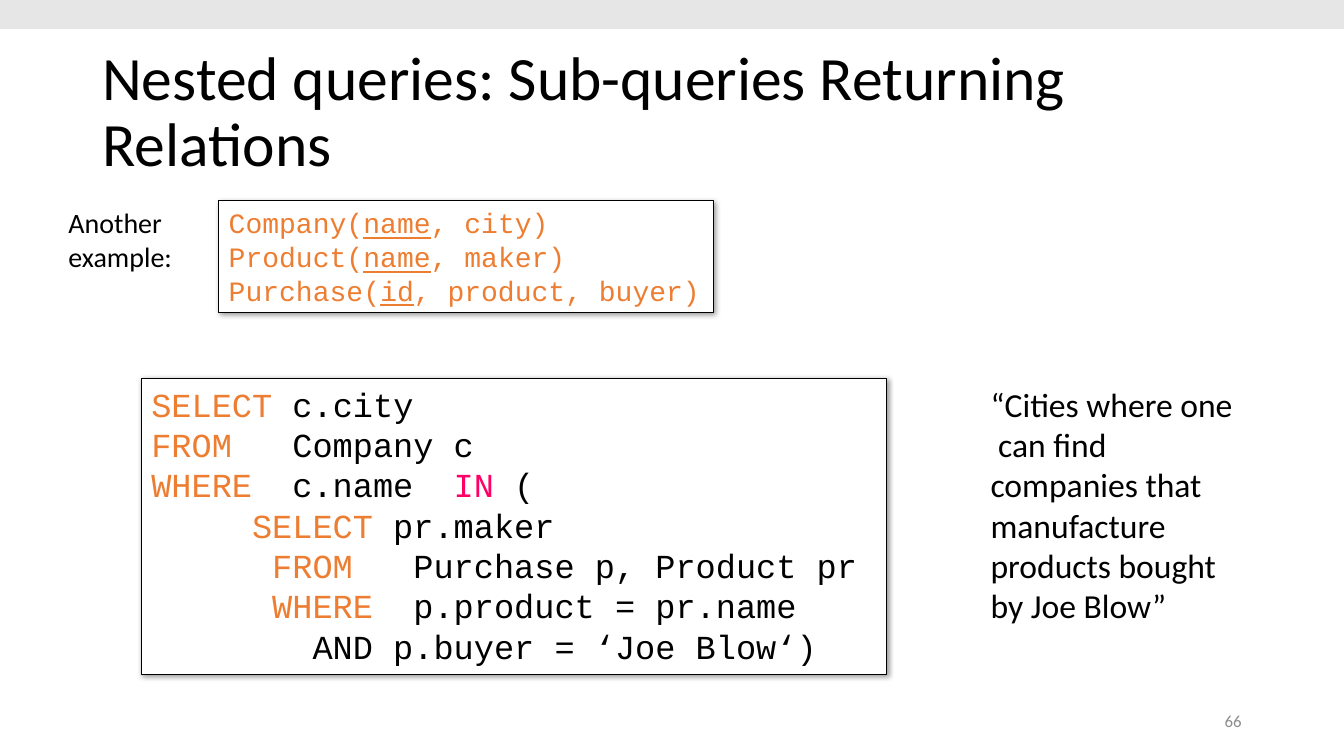
from lxml.etree import SubElement
from pptx import Presentation
from pptx.dml.color import RGBColor
from pptx.enum.shapes import MSO_SHAPE as Shape
from pptx.enum.text import MSO_ANCHOR as Anchor, PP_ALIGN as Align
from pptx.oxml.ns import qn
from pptx.util import Pt

BLACK = RGBColor(0x00, 0x00, 0x00)
WHITE = RGBColor(0xFF, 0xFF, 0xFF)
ORANGE = RGBColor(0xED, 0x7D, 0x31)
PINK = RGBColor(0xFF, 0x00, 0x66)
GRAY = RGBColor(0x8C, 0x8C, 0x8C)
BAND = RGBColor(0xE7, 0xE6, 0xE6)

SANS, MONO = "Calibri", "Courier New"
CODE_SIZE = 24
CHAR_WIDTH = CODE_SIZE * 0.6

SCHEMA = [
    ("Company(", "name", ", city)"),
    ("Product(", "name", ", maker)"),
    ("Purchase(", "id", ", product, buyer)"),
]
QUERY = [
    ([], [("SELECT ", ORANGE), ("c.city", BLACK)]),
    ([7], [("FROM", ORANGE), ("\tCompany c", BLACK)]),
    ([7, 15], [("WHERE", ORANGE), ("\tc.name", BLACK), ("\tIN", PINK), (" (", BLACK)]),
    ([5], [("\tSELECT ", ORANGE), ("pr.maker", BLACK)]),
    ([6, 13], [("\tFROM", ORANGE), ("\tPurchase p, Product pr", BLACK)]),
    ([6, 13], [("\tWHERE", ORANGE), ("\tp.product = pr.name", BLACK)]),
    ([8], [("\tAND p.buyer = ‘Joe Blow‘)", BLACK)]),
]


def add_run(paragraph, text, color, **formats):
    run = paragraph.add_run()
    run.text = text
    for attribute, setting in formats.items():
        setattr(run.font, attribute, setting)
    run.font.color.rgb = color


def add_rect(slide, box, fill):
    rect = slide.shapes.add_shape(Shape.RECTANGLE, *map(Pt, box))
    rect.shadow.inherit = False
    rect.fill.solid()
    rect.fill.fore_color.rgb = fill
    rect.line.fill.background()
    return rect


def add_frame(slide, box, wrap):
    frame = add_rect(slide, box, WHITE)
    frame.line.color.rgb = BLACK
    frame.line.width = Pt(0.75)
    effects = frame._element.spPr.find(qn("a:effectLst"))
    shadow = SubElement(effects, qn("a:outerShdw"), blurRad=str(Pt(4)),
                        dist=str(Pt(1)), dir=str(45 * 60000))
    color = SubElement(shadow, qn("a:srgbClr"), val=str(BLACK))
    SubElement(color, qn("a:alpha"), val="40000")
    body = frame.text_frame
    body.word_wrap = wrap
    body.vertical_anchor = Anchor.TOP
    body.paragraphs[0].alignment = Align.LEFT
    return body


def add_label(slide, box, lines, size, color=BLACK, anchor=Anchor.TOP, **formats):
    body = slide.shapes.add_textbox(*map(Pt, box)).text_frame
    body.word_wrap = True
    body.vertical_anchor = anchor
    paragraph = body.paragraphs[0]
    for attribute, setting in formats.items():
        setattr(paragraph, attribute, setting)
    for index, line in enumerate(lines):
        if index:
            paragraph.add_line_break()
        add_run(paragraph, line, color, name=SANS, size=Pt(size))


def add_schema(slide, left, top, width, height):
    add_label(slide, (left, top, 90.7, 55.4), ["Another example:"], 20)
    label_span = 114.5
    body = add_frame(slide, (left + label_span, top, width - label_span, height), False)
    paragraph = body.paragraphs[0]
    for index, (opening, key, rest) in enumerate(SCHEMA):
        if index:
            paragraph.add_line_break()
        for text, underline in ((opening, False), (key, True), (rest, False)):
            add_run(paragraph, text, ORANGE, name=MONO, size=Pt(20), underline=underline)


def add_query(slide, left, top, width, height):
    code_width, meaning_width = 532, 193
    body = add_frame(slide, (left, top, code_width, height), True)
    for index, (columns, parts) in enumerate(QUERY):
        paragraph = body.add_paragraph() if index else body.paragraphs[0]
        paragraph.alignment = Align.LEFT
        if columns:
            stops = SubElement(paragraph._p.get_or_add_pPr(), qn("a:tabLst"))
            for column in columns:
                SubElement(stops, qn("a:tab"), pos=str(Pt(column * CHAR_WIDTH)), algn="l")
        for text, color in parts:
            add_run(paragraph, text, color, name=MONO, size=Pt(CODE_SIZE))
    meaning = ["“Cities where one",
               " can find companies that manufacture products bought by Joe Blow”"]
    add_label(slide, (left + width - meaning_width, top, meaning_width, 187), meaning, 24)


def add_heading(slide, left, top, width, height):
    add_rect(slide, (left, top, width, 20.7), BAND)
    add_label(slide, (left + 66, top + 28.75, 828, height - 28.75),
              ["Nested queries: Sub-queries Returning Relations"], 44,
              anchor=Anchor.MIDDLE, line_spacing=0.9)


def add_page_number(slide, *box):
    add_label(slide, box, ["66"], 12, GRAY, Anchor.MIDDLE, alignment=Align.RIGHT)


def main():
    deck = Presentation()
    deck.slide_width, deck.slide_height = Pt(960), Pt(540)
    slide = deck.slides.add_slide(deck.slide_layouts[6])
    add_page_number(slide, 678, 500.5, 216, 28.75)
    add_heading(slide, 0, 0, 960, 133.1)
    add_query(slide, 101, 270.5, 792.5, 211)
    add_schema(slide, 41.8, 143.5, 468, 80)
    deck.save("out.pptx")


if __name__ == "__main__":
    main()
